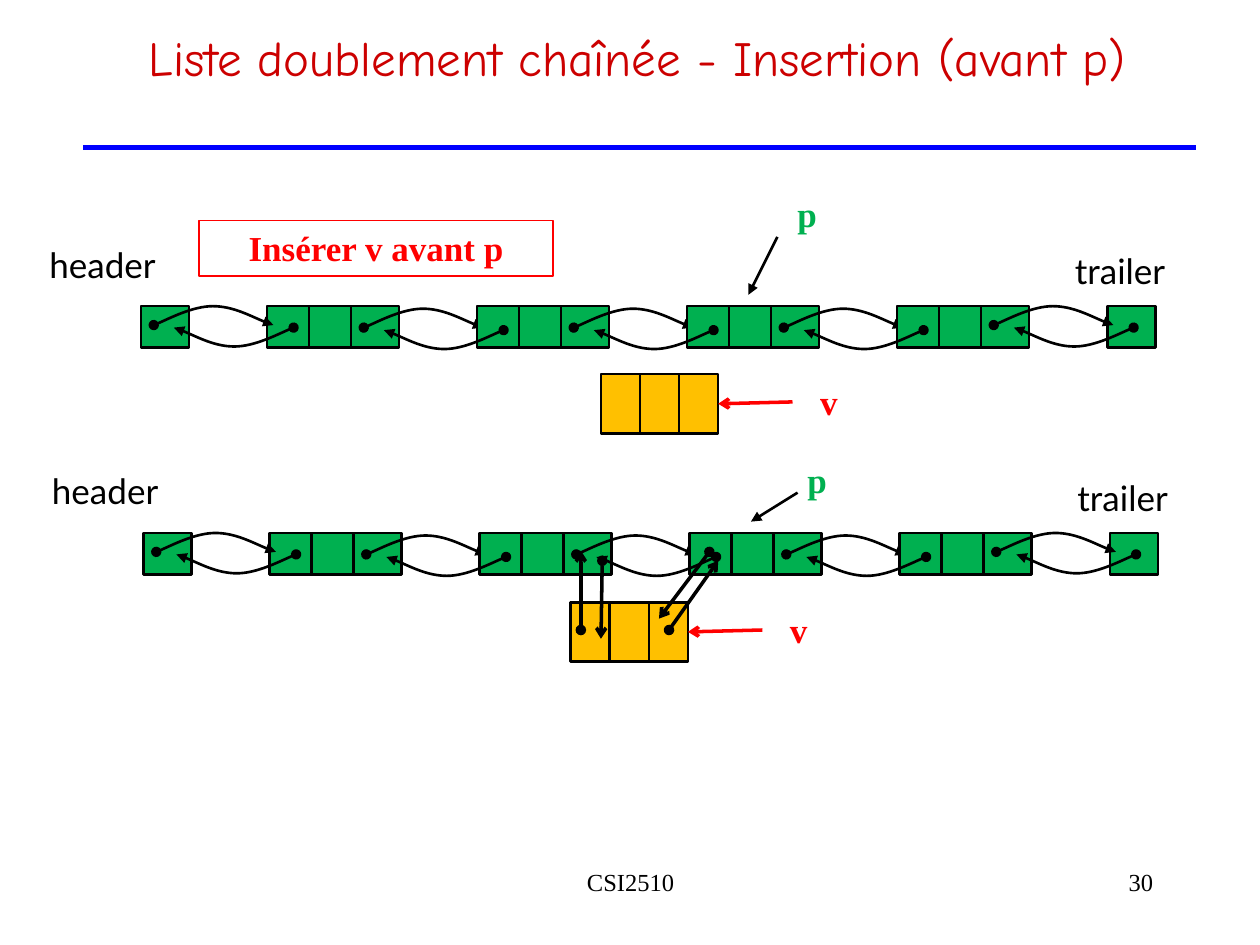
"""Build the slide on inserting a node into a doubly linked list."""
from lxml import etree
from pptx import Presentation
from pptx.dml.color import RGBColor
from pptx.enum.shapes import MSO_CONNECTOR, MSO_SHAPE
from pptx.enum.text import MSO_ANCHOR, PP_ALIGN
from pptx.oxml.ns import qn
from pptx.util import Inches, Pt

RECT = MSO_SHAPE.RECTANGLE
LINE = MSO_CONNECTOR.STRAIGHT
TOP = MSO_ANCHOR.TOP
MID, RIGHT = PP_ALIGN.CENTER, PP_ALIGN.RIGHT


class Theme:
    black = RGBColor(0, 0, 0)
    red = RGBColor(0xFF, 0, 0)
    green = RGBColor(0, 0xB0, 0x50)
    gold = RGBColor(0xFF, 0xC0, 0)
    blue = RGBColor(0, 0, 0xFF)
    title = RGBColor(0xCC, 0, 0)
    serif, sans, comic = "Times New Roman", "Lato", "Comic Neue"
    big, body, small = Pt(28), Pt(20), Pt(14)
    thin, edge, bold, rule = Pt(0.75), Pt(1.5), Pt(2), Pt(3.25)


def stroke(shape, color, width, head=None, tail=None):
    shape.line.color.rgb = color
    shape.line.width = width
    props = shape._element.spPr
    for tag, kind in (("a:headEnd", head), ("a:tailEnd", tail)):
        if kind:
            etree.SubElement(props.get_or_add_ln(), qn(tag), type=kind)
    if props.find(qn("a:effectLst")) is None:
        etree.SubElement(props, qn("a:effectLst"))


def add_cell(x, y, w, h, fill):
    cell = shapes.add_shape(RECT, Inches(x), Inches(y), Inches(w), Inches(h))
    cell.fill.solid()
    cell.fill.fore_color.rgb = fill
    stroke(cell, Theme.black, Theme.edge)
    return cell


deck = Presentation()
deck.slide_width, deck.slide_height = Inches(10), Inches(7.5)
slide = deck.slides.add_slide(deck.slide_layouts[5])
shapes = slide.shapes

title = shapes.title
title.left, title.top = Inches(0.51), Inches(0.17)
title.width, title.height = Inches(9.49), Inches(0.82)
frame = title.text_frame
frame.text = "Liste doublement chaînée - Insertion (avant p)"
frame.vertical_anchor = TOP
frame.margin_right = Inches(0.5)
para = frame.paragraphs[0]
para.alignment = MID
para.font.name, para.font.size = Theme.comic, Theme.big
para.font.color.rgb = Theme.title

GAP = 5 / 3
STEP = GAP / 5
CURVE = [(0, 0.15), (0.08, 0.12), (0.31, 0), (0.47, 0),
         (0.63, 0), (0.85, 0.12), (0.95, 0.15)]

# (way, x, drop): way 0 is a cell, 1 a next link, -1 a previous link
steps = []
for node in range(4):
    steps += [(0, 2.12 + node * GAP + part * STEP, 0) for part in range(3)]
    if node < 3:
        steps.append((1, 1.22 + (node + 1) * GAP, 0.02))
steps += [(-1, 2.33 + gap * GAP, 0.02) for gap in (1, 2, 3)]
steps += [(0, 8.79, 0), (0, 1.12, 0)]
for gap in (4, 0):
    steps += [(1, 1.22 + gap * GAP, 0), (-1, 2.33 + gap * GAP, 0)]

labels = [
    ("CSI2510", 3.42, 6.83, 3.17, 0.5, Theme.serif, Theme.small, Theme.black, False, MID),
    ("30", 7.17, 6.83, 2.08, 0.5, Theme.serif, Theme.small, Theme.black, False, RIGHT),
    ("Insérer v avant p", 1.58, 1.75, 2.81, 0.44, Theme.serif, Theme.body, Theme.red, True, MID),
]
rows = [(0, 0, 4.77, 2.97, 6.17, 1.48), (0.02, 1.8, 4.53, 4.78, 6.25, 3.59)]
for dx, dy, left, top, px, py in rows:
    for way, x, drop in steps:
        x, y = x + dx, 2.43 + dy + drop
        if way == 0:
            add_cell(x, y, 0.38, 0.33, Theme.green)
            continue
        if way < 0:
            y += 0.32
        dots = [(Inches(x + way * u), Inches(y + way * v)) for u, v in CURVE]
        pen = shapes.build_freeform(*dots[0])
        pen.add_line_segments(dots[1:], close=False)
        link = pen.convert_to_shape()
        link.fill.background()
        stroke(link, Theme.black, Theme.edge, "oval", "triangle")
        segs = list(link._element.iter(qn("a:lnTo")))
        for k in range(0, len(segs), 3):
            bend = etree.SubElement(segs[k].getparent(), qn("a:cubicBezTo"))
            for seg in segs[k:k + 3]:
                bend.append(seg[0])
                seg.getparent().remove(seg)

    for shift, wide in ((0, 0.4), (0.31, 0.44), (0.62, 0.31)):
        cell = add_cell(left + shift, top, wide, 0.47, Theme.gold)
    arrow = shapes.add_connector(LINE, Inches(left + 1.52), Inches(top + 0.22),
                                 Inches(left + 0.93), Inches(top + 0.23))
    arrow.end_connect(cell, 3)
    stroke(arrow, Theme.red, Theme.bold, tail="arrow")
    labels += [
        ("header", 0.23 + dx, 1.88 + dy, 1.17, 0.44, Theme.sans, Theme.body, Theme.black, False, MID),
        ("trailer", 8.37 + dx, 1.93 + dy, 1.04, 0.44, Theme.sans, Theme.body, Theme.black, False, MID),
        ("v", left + 1.64, top, 0.31, 0.44, Theme.serif, Theme.body, Theme.red, True, MID),
        ("p", px, py, 0.47, 0.44, Theme.serif, Theme.body, Theme.green, True, MID),
    ]

for text, x, y, w, h, face, size, color, heavy, align in labels:
    box = shapes.add_textbox(Inches(x), Inches(y), Inches(w), Inches(h))
    frame = box.text_frame
    frame.text = text
    frame.word_wrap = len(text) > 1
    para = frame.paragraphs[0]
    para.alignment = align
    para.font.name, para.font.size, para.font.bold = face, size, heavy
    para.font.color.rgb = color
    if text.startswith("Insérer"):
        stroke(box, Theme.red, Theme.thin)

lines = [
    (6.17, 1.88, 5.94, 2.34, Theme.black, Theme.edge, None, "triangle"),
    (6.33, 3.91, 5.96, 4.14, Theme.black, Theme.edge, None, "triangle"),
    (4.61, 5, 4.61, 4.37, Theme.black, Theme.bold, "oval", "arrow"),
    (5.31, 5, 5.7, 4.45, Theme.black, Theme.bold, "oval", "arrow"),
    (5.63, 4.38, 5.23, 4.91, Theme.black, Theme.bold, "oval", "arrow"),
    (4.78, 4.45, 4.77, 5.07, Theme.black, Theme.bold, "oval", "arrow"),
    (0.66, 1.17, 9.49, 1.17, Theme.blue, Theme.rule, None, None),
]
for x1, y1, x2, y2, color, width, head, tail in lines:
    line = shapes.add_connector(LINE, Inches(x1), Inches(y1), Inches(x2), Inches(y2))
    stroke(line, color, width, head, tail)

deck.save("out.pptx")
